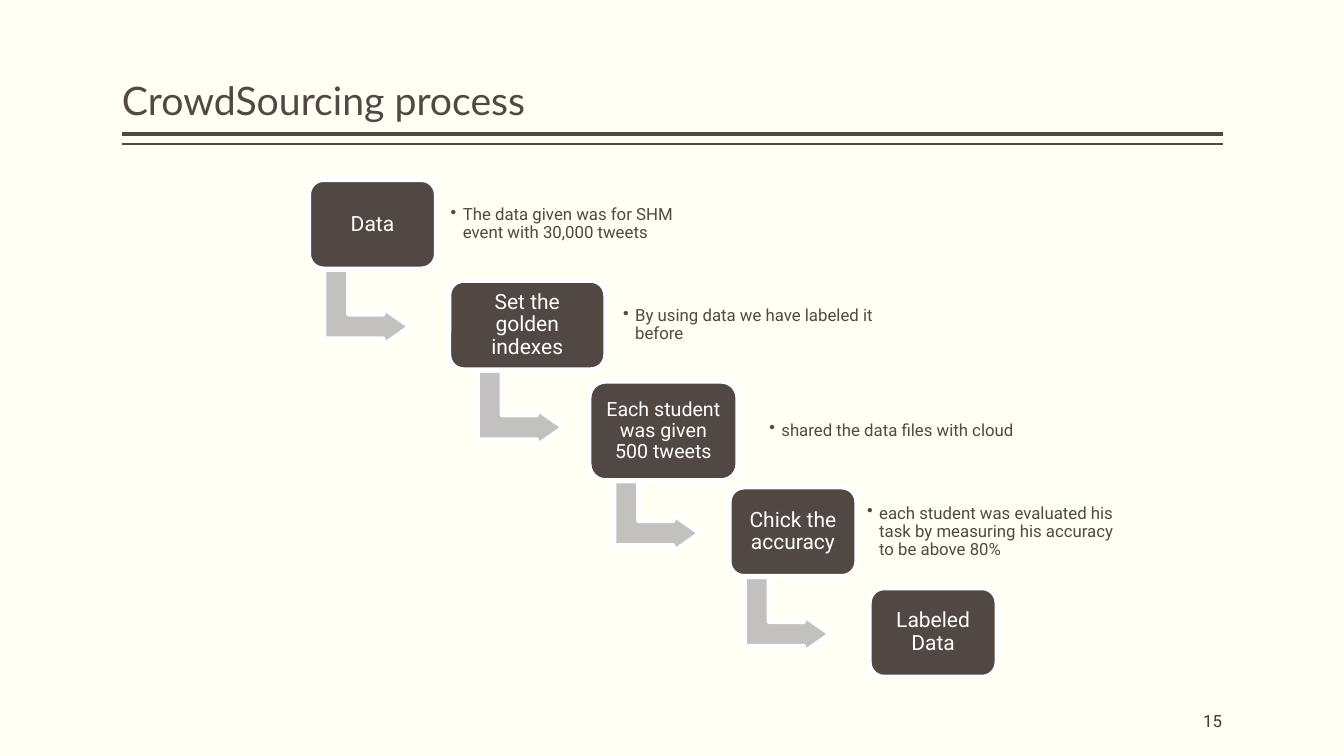
from pptx import Presentation
from pptx.dml.color import RGBColor
from pptx.enum.shapes import MSO_CONNECTOR, MSO_SHAPE
from pptx.enum.text import MSO_ANCHOR as ANCHOR, PP_ALIGN as ALIGN
from pptx.oxml.ns import qn
from pptx.util import Inches, Pt
from lxml import etree

CREAM = RGBColor(0xFF, 0xFF, 0xF3)
BROWN = RGBColor(0x51, 0x48, 0x43)
DARK = RGBColor(0x3D, 0x36, 0x32)
GREY = RGBColor(0xC2, 0xC1, 0xC0)
WHITE = RGBColor(0xFF, 0xFF, 0xFF)

# label, label size, top, width, height, note, gap to note, note width
STEPS = [
    ("Data", 15, 1.78, 1.27, 0.89,
     "The data given was for SHM event with 30,000 tweets", 0.09, 2.31),
    ("Set the golden indexes", 15, 2.78, 1.56, 0.89,
     "By using data we have labeled it before", 0.12, 2.93),
    ("Each student was given 500 tweets", 14, 3.78, 1.48, 0.99,
     "shared the data files with cloud", 0.26, 3.17),
    ("Chick the accuracy", 15, 4.83, 1.27, 0.89,
     "each student was evaluated his task by measuring his accuracy "
     "to be above 80%", 0.05, 2.63),
    ("Labeled Data", 15, 5.83, 1.27, 0.89, None, 0, 0),
]
STEP_SHIFT = 1.39
NOTE_HEIGHT = 0.72
ARROW_W, ARROW_H = 0.76, 0.86


def write(s, text, size, color, inset_x, inset_y, align=ALIGN.LEFT,
          anchor=ANCHOR.MIDDLE, font="Roboto", spacing=0.9, bullet=False):
    tf = s.text_frame
    tf.word_wrap = True
    tf.vertical_anchor = anchor
    tf.margin_left = tf.margin_right = Inches(inset_x)
    tf.margin_top = tf.margin_bottom = Inches(inset_y)
    tf.text = text
    p = tf.paragraphs[0]
    p.alignment = align
    p.line_spacing = spacing
    if bullet:
        pPr = p._p.get_or_add_pPr()
        pPr.set("marL", str(Inches(0.12)))
        pPr.set("indent", str(Inches(-0.12)))
        etree.SubElement(pPr, qn("a:buChar")).set("char", "•")
    r = p.runs[0]
    r.font.name = font
    r.font.size = Pt(size)
    r.font.color.rgb = color


def add_text(slide, x, y, w, h, *args, **kwargs):
    s = slide.shapes.add_textbox(Inches(x), Inches(y), Inches(w), Inches(h))
    write(s, *args, **kwargs)


def add_outlined(slide, kind, x, y, w, h, fill):
    s = slide.shapes.add_shape(kind, Inches(x), Inches(y), Inches(w), Inches(h))
    s.shadow.inherit = False
    s.fill.solid()
    s.fill.fore_color.rgb = fill
    s.line.color.rgb = WHITE
    s.line.width = Pt(3.78)
    return s


def add_heading(slide, x, y, w, h):
    add_text(slide, x, y, w, h, "CrowdSourcing process", 28, BROWN, 0, 0.05,
             anchor=ANCHOR.BOTTOM, font="Lato")
    # Double rule under the title
    for drop, weight in ((0.05, 3), (0.15, 1)):
        rule_y = Inches(y + h + drop)
        rule = slide.shapes.add_connector(
            MSO_CONNECTOR.STRAIGHT, Inches(x + w), rule_y, Inches(x), rule_y)
        rule.line.color.rgb = BROWN
        rule.line.width = Pt(weight)
        etree.SubElement(rule._element.spPr, qn("a:effectLst"))


def add_step_arrow(slide, x, w, next_top):
    """Bent arrow from under a step towards the next one."""
    center_x, center_y = x + 0.457 * w, next_top + 0.27
    arrow = add_outlined(slide, MSO_SHAPE.BENT_UP_ARROW, center_x - ARROW_W / 2,
                         center_y - ARROW_H / 2, ARROW_W, ARROW_H, GREY)
    arrow.rotation = 90
    for i, value in enumerate((0.328, 0.25, 0.358)):
        arrow.adjustments[i] = value


def add_staircase(slide, left):
    for i, (label, size, top, w, h, note, gap, note_w) in enumerate(STEPS):
        x = left + i * STEP_SHIFT
        if i + 1 < len(STEPS):
            add_step_arrow(slide, x, w, STEPS[i + 1][2])
        box = add_outlined(slide, MSO_SHAPE.ROUNDED_RECTANGLE,
                           x, top, w, h, BROWN)
        box.adjustments[0] = 0.167
        write(box, label, size, WHITE, 0.1, 0.1, align=ALIGN.CENTER)
        if note:
            add_text(slide, x + w + gap, top + (h - NOTE_HEIGHT) / 2, note_w,
                     NOTE_HEIGHT, note, 12, BROWN, 0.05, 0.05, bullet=True)


def add_page_number(slide, x, y, w, h):
    add_text(slide, x, y, w, h, "15", 12, DARK, 0, 0.05,
             align=ALIGN.RIGHT, spacing=1.0)


def main():
    prs = Presentation()
    prs.slide_width, prs.slide_height = Inches(13.33), Inches(7.5)
    slide = prs.slides.add_slide(prs.slide_layouts[6])
    slide.background.fill.solid()
    slide.background.fill.fore_color.rgb = CREAM
    add_heading(slide, 1.21, 0.08, 10.92, 1.2)
    add_staircase(slide, 3.06)
    add_page_number(slide, 10.12, 6.95, 2, 0.4)
    prs.save("out.pptx")


if __name__ == "__main__":
    main()
